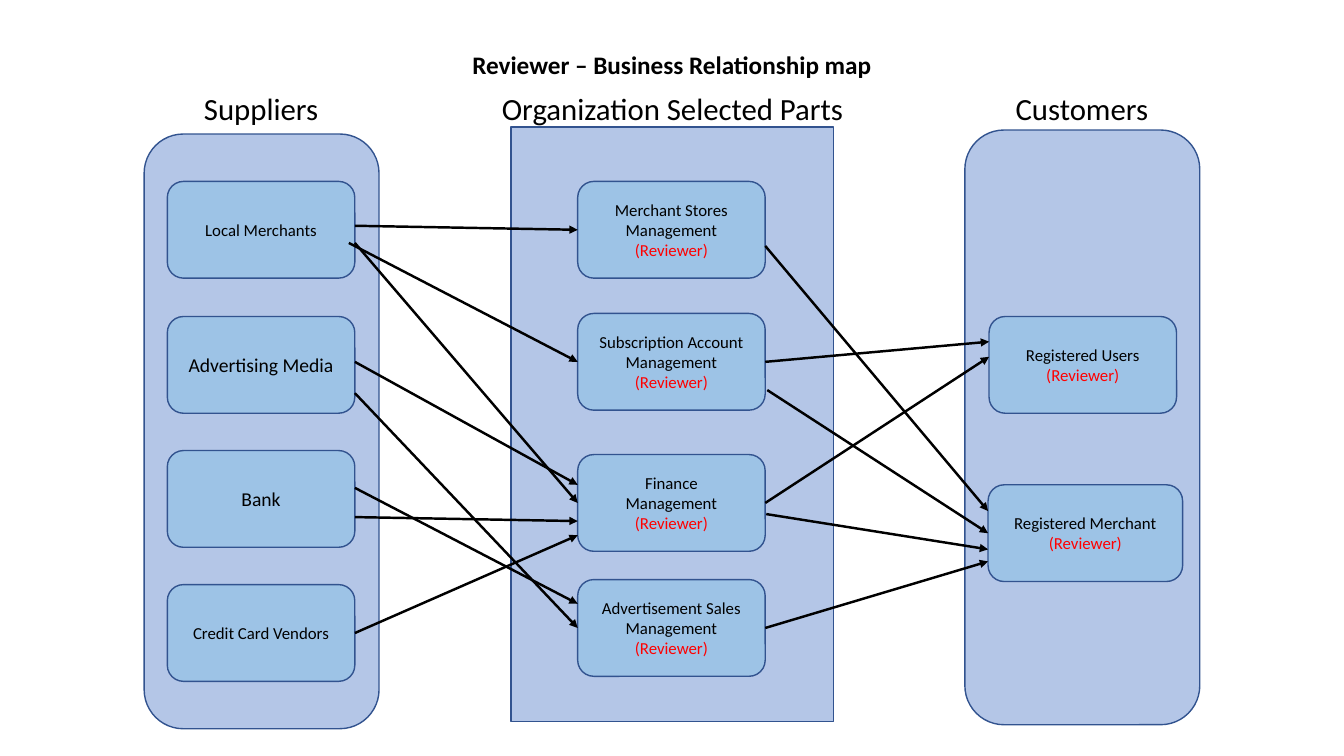
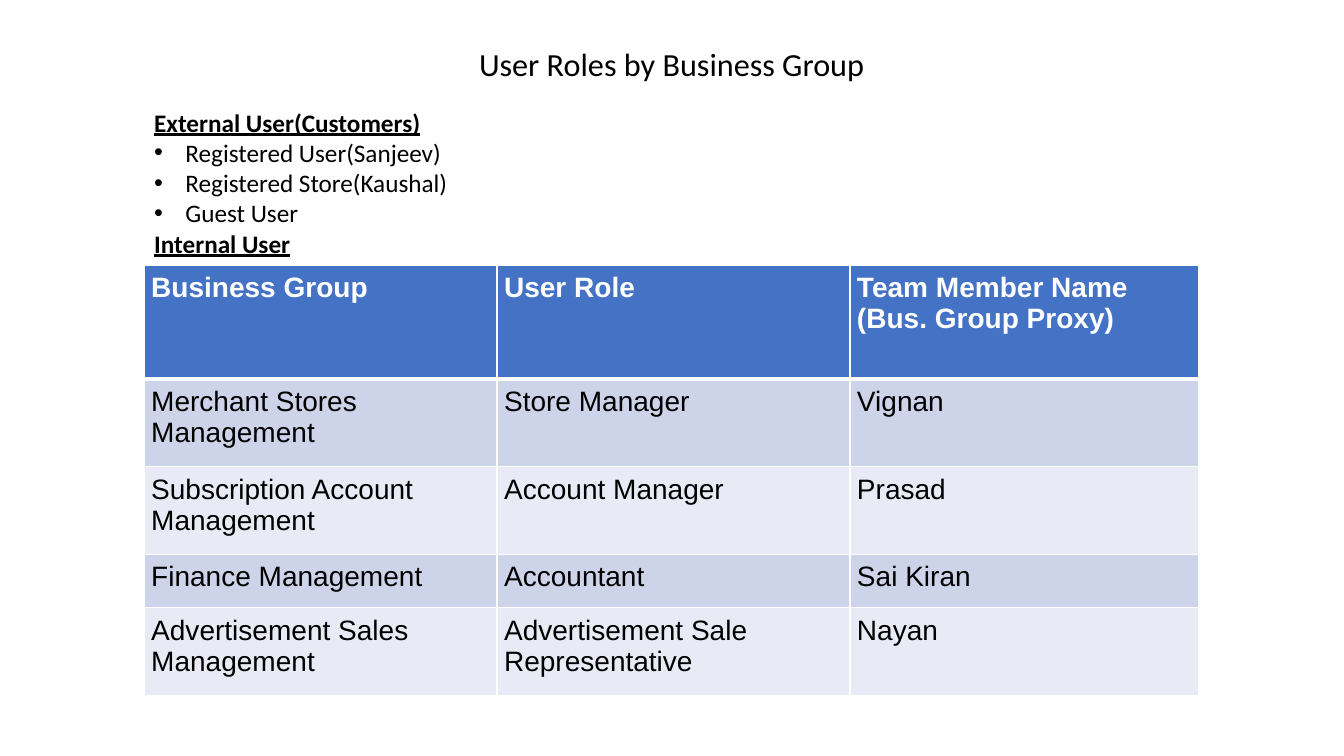
"""Build a business relationship map and a table of user roles."""
import pptx
import pptx.util
import pptx.dml.color
import pptx.enum.shapes
import pptx.enum.text
import pptx.oxml
import pptx.oxml.ns

PX = 9144
COLORS = {
    "text": "000000", "reviewer": "FF0000", "white": "FFFFFF",
    "panel": "4472C4", "box": "9DC3E6", "outline": "32538F",
    "header": "4472C4", "odd": "CDD4EA", "even": "E8EBF5",
}
RECT = pptx.enum.shapes.MSO_SHAPE.RECTANGLE
ROUND = pptx.enum.shapes.MSO_SHAPE.ROUNDED_RECTANGLE
LEFT = pptx.enum.text.PP_ALIGN.LEFT
CENTER = pptx.enum.text.PP_ALIGN.CENTER
NAMESPACE = pptx.oxml.ns.nsdecls("a")


def place(page, left, top, width, height, kind=None, fill=None, margin=5):
    """Add a text box, or an outlined shape when a kind is given."""
    area = [value * PX for value in (left, top, width, height)]
    if kind is None:
        box = page.shapes.add_textbox(*area)
    else:
        box = page.shapes.add_shape(kind, *area)
        box.shadow.inherit = False
        box.fill.solid()
        box.fill.fore_color.rgb = pptx.dml.color.RGBColor.from_string(COLORS[fill])
        box.line.color.rgb = pptx.dml.color.RGBColor.from_string(COLORS["outline"])
        box.line.width = pptx.util.Pt(1)
    frame = box.text_frame
    frame.word_wrap = True
    frame.vertical_anchor = pptx.enum.text.MSO_ANCHOR.MIDDLE
    frame.margin_left = frame.margin_right = margin * PX
    frame.margin_top = frame.margin_bottom = 5 * PX
    return box


def write(frame, text, size=12, color="text", font="Calibri", bold=False,
          underline=False, align=CENTER, bullet=False):
    """Fill the empty first paragraph, or append one."""
    para = frame.paragraphs[0]
    if para.runs:
        para = frame.add_paragraph()
    para.alignment = align
    if bullet:
        properties = para._p.get_or_add_pPr()
        properties.set("marL", str(31 * PX))
        properties.set("indent", str(-31 * PX))
        for markup in ('<a:buFont {} typeface="Arial"/>', '<a:buChar {} char="•"/>'):
            properties.append(pptx.oxml.parse_xml(markup.format(NAMESPACE)))
    span = para.add_run()
    span.text = text
    span.font.name = font
    span.font.size = pptx.util.Pt(size)
    span.font.bold = bold
    span.font.underline = underline
    span.font.color.rgb = pptx.dml.color.RGBColor.from_string(COLORS[color])


deck = pptx.Presentation()
deck.slide_width = 1333 * PX
deck.slide_height = 750 * PX
pages = []
for title, size, bold in [
    ("Reviewer – Business Relationship map", 18, True),
    ("User Roles by Business Group", 23, False),
]:
    page = deck.slides.add_slide(deck.slide_layouts[6])
    write(place(page, 115, 43, 1103, 41).text_frame, title, size=size, bold=bold)
    pages.append(page)
map_page, roles_page = pages

for heading, kind, left, top, width in [
    ("Suppliers", ROUND, 143, 133, 233),
    ("Organization Selected Parts", RECT, 507, 126, 320),
    ("Customers", ROUND, 957, 129, 233),
]:
    label = place(map_page, left + width // 2 - 180, 84, 360, 47)
    write(label.text_frame, heading, size=22)
    panel = place(map_page, left, top, width, 590, kind, "panel")
    tint = panel.fill._xPr.find(".//" + pptx.oxml.ns.qn("a:srgbClr"))
    tint.append(pptx.oxml.parse_xml(f'<a:alpha {NAMESPACE} val="40000"/>'))

boxes = {}
for name, left, top, width, size, reviewed in [
    ("Local Merchants", 166, 180, 186, 12, False),
    ("Advertising Media", 166, 314, 186, 14, False),
    ("Bank", 166, 447, 186, 14, False),
    ("Credit Card Vendors", 166, 580, 186, 12, False),
    ("Merchant Stores Management", 573, 180, 186, 12, True),
    ("Subscription Account Management", 573, 311, 186, 12, True),
    ("Finance Management", 573, 451, 186, 12, True),
    ("Advertisement Sales Management", 573, 575, 186, 12, True),
    ("Registered Users", 981, 314, 186, 12, True),
    ("Registered Merchant", 980, 481, 193, 12, True),
]:
    box = place(map_page, left, top, width, 96, ROUND, "box", margin=15)
    write(box.text_frame, name, size=size)
    if reviewed:
        write(box.text_frame, "(Reviewer)", color="reviewer")
    boxes[name] = box

MIDDLE = None
for source, start_x, start_y, target, end_y in [
    ("Local Merchants", 352, 224, "Merchant Stores Management", MIDDLE),
    ("Local Merchants", 346, 241, "Subscription Account Management", MIDDLE),
    ("Local Merchants", 352, 241, "Finance Management", MIDDLE),
    ("Advertising Media", 352, 359, "Finance Management", 481),
    ("Advertising Media", 352, 390, "Advertisement Sales Management", MIDDLE),
    ("Bank", 352, 513, "Finance Management", 517),
    ("Bank", 352, 484, "Advertisement Sales Management", 599),
    ("Credit Card Vendors", 352, MIDDLE, "Finance Management", 531),
    ("Merchant Stores Management", 759, 244, "Registered Merchant", 507),
    ("Subscription Account Management", 759, MIDDLE, "Registered Users", 339),
    ("Subscription Account Management", 761, 387, "Registered Merchant", MIDDLE),
    ("Finance Management", 759, MIDDLE, "Registered Users", 354),
    ("Finance Management", 760, 510, "Registered Merchant", 545),
    ("Advertisement Sales Management", 759, MIDDLE, "Registered Merchant", 557),
]:
    arrow = map_page.shapes.add_connector(
        pptx.enum.shapes.MSO_CONNECTOR.STRAIGHT,
        start_x * PX, (start_y or 0) * PX, boxes[target].left, (end_y or 0) * PX)
    if start_y is MIDDLE:
        arrow.begin_connect(boxes[source], 3)
    if end_y is MIDDLE:
        arrow.end_connect(boxes[target], 1)
    arrow.line.width = pptx.util.Pt(1.75)
    arrow.line.color.rgb = pptx.dml.color.RGBColor.from_string(COLORS["text"])
    arrow.line._get_or_add_ln().append(
        pptx.oxml.parse_xml(f'<a:tailEnd {NAMESPACE} type="triangle"/>'))
    arrow._element.spPr.append(pptx.oxml.parse_xml(f"<a:effectLst {NAMESPACE}/>"))

rows = [
    ("Business Group", "User Role", "Team Member Name\n(Bus. Group Proxy)"),
    ("Merchant Stores Management", "Store Manager", "Vignan"),
    ("Subscription Account Management", "Account Manager", "Prasad"),
    ("Finance Management", "Accountant", "Sai Kiran"),
    ("Advertisement Sales Management", "Advertisement Sale Representative", "Nayan"),
]
widths = [350, 350, 346]
heights = [113, 87, 87, 53, 87]
table = roles_page.shapes.add_table(
    len(rows), len(widths), 143 * PX, 263 * PX, sum(widths) * PX, sum(heights) * PX).table
for column, width in zip(table.columns, widths):
    column.width = width * PX
for index, (texts, height) in enumerate(zip(rows, heights)):
    table.rows[index].height = height * PX
    is_header = index == 0
    fill = "header" if is_header else "odd" if index % 2 else "even"
    edges = {"lnL": 1, "lnR": 1, "lnT": 3 if index == 1 else 1, "lnB": 3 if is_header else 1}
    for cell, text in zip(table.rows[index].cells, texts):
        cell.margin_left = cell.margin_right = 7 * PX
        cell.margin_top = cell.margin_bottom = 7 * PX
        cell.fill.solid()
        cell.fill.fore_color.rgb = pptx.dml.color.RGBColor.from_string(COLORS[fill])
        for position, (edge, points) in enumerate(edges.items()):
            cell._tc.get_or_add_tcPr().insert(position, pptx.oxml.parse_xml(
                f'<a:{edge} {NAMESPACE} w="{pptx.util.Pt(points)}"><a:solidFill>'
                f'<a:srgbClr val="{COLORS["white"]}"/></a:solidFill></a:{edge}>'))
        for line in text.split("\n"):
            write(cell.text_frame, line, size=20, font="Arial", align=LEFT,
                  bold=is_header, color="white" if is_header else "text")

users = place(roles_page, 148, 100, 376, 162)
for text, is_heading in [
    ("External User(Customers)", True),
    ("Registered User(Sanjeev)", False),
    ("Registered Store(Kaushal)", False),
    ("Guest User", False),
    ("Internal User", True),
]:
    write(users.text_frame, text, size=18, align=LEFT, bold=is_heading,
          underline=is_heading, bullet=not is_heading)

deck.save("out.pptx")
